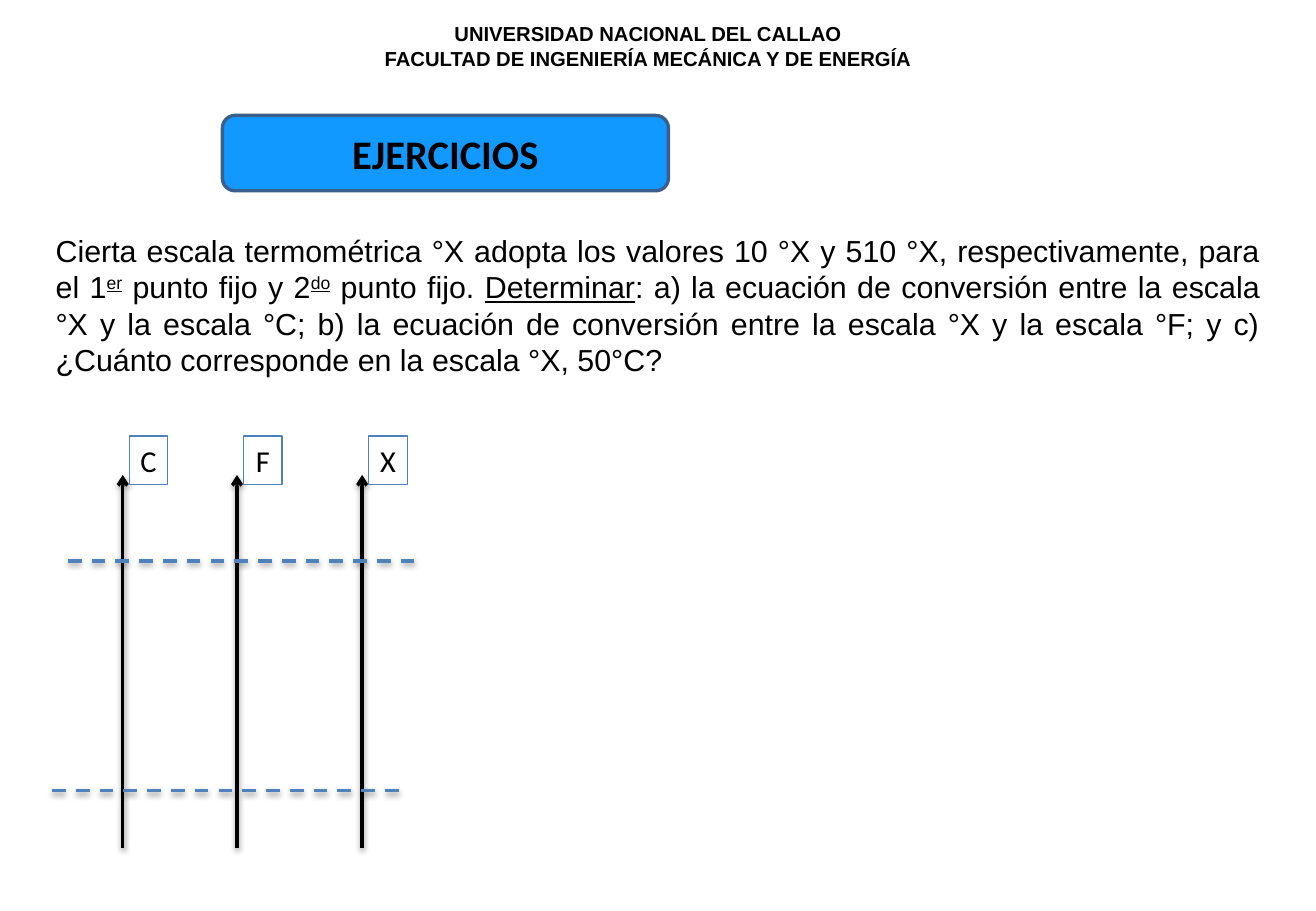
"""Builds the exercise slide on converting between the C, F and X temperature scales."""
import lxml.etree
import pptx
import pptx.dml.color
import pptx.enum.dml
import pptx.enum.shapes
import pptx.enum.text
import pptx.oxml
import pptx.oxml.ns
import pptx.util

BLACK, BLUE = "000000", "4F81BD"
ALIGN = pptx.enum.text.PP_ALIGN
SHAPE = pptx.enum.shapes.MSO_SHAPE

deck = pptx.Presentation()
deck.slide_width = pptx.util.Inches(10.83)
deck.slide_height = pptx.util.Inches(7.5)
slide = deck.slides.add_slide(deck.slide_layouts[6])


def shares(*percents):
    """Turn alternating percentages of slide width and height into lengths."""
    sides = (deck.slide_width, deck.slide_height) * 2
    return [round(side * percent / 100) for side, percent in zip(sides, percents)]


def colour(target, value):
    """Give a font or a fill a solid hex colour."""
    fill = target.fill if hasattr(target, "fill") else target
    fill.solid()
    fill.fore_color.rgb = pptx.dml.color.RGBColor.from_string(value)


heading = slide.shapes.add_textbox(*shares(18.74, 1.73, 61.03, 6.67))
title = slide.shapes.add_shape(SHAPE.ROUNDED_RECTANGLE, *shares(16.9, 12.67, 33.89, 8.27))
problem = slide.shapes.add_textbox(*shares(3.32, 24.8, 93.35, 17.47))

colour(title.fill, "1199FF")
colour(title.line, "3A5F8C")
title.line.width = pptx.util.Pt(2)
title.shadow.inherit = False

scales = {"C": 9.33, "F": 18.01, "X": 27.52}
axes = [((x, 93.07, x, 52.13), BLACK) for x in scales.values()]
fixed_points = [((31.49, 61.6, 4.52, 61.6), BLUE), ((30.29, 86.8, 3.23, 86.8), BLUE)]
soft_shadow = (
    f'<a:effectLst {pptx.oxml.ns.nsdecls("a")}>'
    '<a:outerShdw blurRad="40000" dist="20000" dir="5400000" rotWithShape="0">'
    '<a:srgbClr val="000000"><a:alpha val="38000"/></a:srgbClr>'
    "</a:outerShdw></a:effectLst>"
)
for ends, ink in axes + fixed_points:
    stroke = slide.shapes.add_connector(pptx.enum.shapes.MSO_CONNECTOR.STRAIGHT, *shares(*ends))
    colour(stroke.line, ink)
    stroke.line.width = pptx.util.Pt(2)
    if ink == BLUE:
        stroke.line.dash_style = pptx.enum.dml.MSO_LINE.DASH
    else:
        outline = stroke.line.fill._xPr
        lxml.etree.SubElement(outline, pptx.oxml.ns.qn("a:tailEnd"), type="arrow")
    stroke._element.spPr.append(pptx.oxml.parse_xml(soft_shadow))

texts = [
    (heading, ALIGN.CENTER, {"name": "Arial", "size": pptx.util.Pt(12), "bold": True},
     [["UNIVERSIDAD NACIONAL DEL CALLAO"], ["FACULTAD DE INGENIERÍA MECÁNICA Y DE ENERGÍA"]]),
    (title, ALIGN.CENTER, {"name": "Calibri", "size": pptx.util.Pt(24), "bold": True},
     [["EJERCICIOS"]]),
    (problem, ALIGN.JUSTIFY, {"name": "Arial", "size": pptx.util.Pt(18)},
     [["Cierta escala termométrica °X adopta los valores 10 °X y 510 °X, respectivamente, para el 1",
       "er", " punto fijo y 2", "do", " punto fijo. ", "Determinar",
       ": a) la ecuación de conversión entre la escala °X y la escala °C; b) la ecuación de "
       "conversión entre la escala °X y la escala °F; y c) ¿Cuánto corresponde en la escala "
       "°X, 50°C?"]]),
]

for scale, x in scales.items():
    label = slide.shapes.add_shape(SHAPE.RECTANGLE, *shares(x + 0.5, 47.87, 2.93, 5.33))
    label.fill.background()
    colour(label.line, BLUE)
    label.line.width = pptx.util.Pt(0.75)
    label.shadow.inherit = False
    texts.append((label, ALIGN.CENTER, {"name": "Calibri", "size": pptx.util.Pt(18)}, [[scale]]))

for holder, alignment, style, paragraphs in texts:
    frame = holder.text_frame
    frame.word_wrap = holder in (heading, title, problem)
    for number, pieces in enumerate(paragraphs):
        paragraph = frame.add_paragraph() if number else frame.paragraphs[0]
        paragraph.alignment = alignment
        for piece in pieces:
            run = paragraph.add_run()
            run.text = piece
            for attribute, value in style.items():
                setattr(run.font, attribute, value)
            colour(run.font, BLACK)
            if piece in ("er", "do", "Determinar"):
                run.font.underline = True
            if piece in ("er", "do"):
                run.font._element.set("baseline", "30000")

deck.save("out.pptx")
